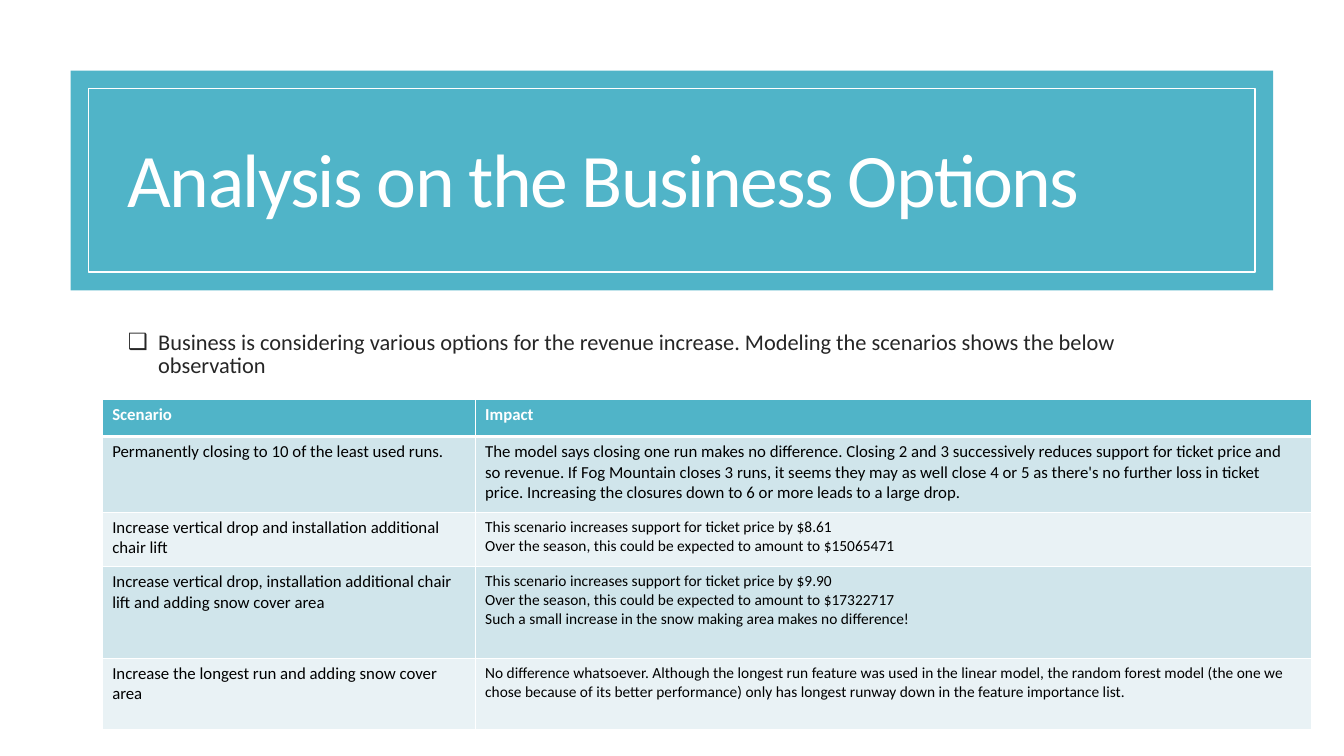
from lxml import etree
from pptx import Presentation
from pptx.dml.color import RGBColor
from pptx.enum.shapes import MSO_SHAPE
from pptx.enum.text import MSO_ANCHOR, MSO_AUTO_SIZE
from pptx.oxml import parse_xml
from pptx.oxml.ns import nsdecls, qn
from pptx.util import Pt

TEAL = RGBColor(0x50, 0xB4, 0xC8)
BAND_DARK = RGBColor(0xD0, 0xE5, 0xEB)
BAND_LIGHT = RGBColor(0xE9, 0xF2, 0xF5)
WHITE = RGBColor(0xFF, 0xFF, 0xFF)
BLACK = RGBColor(0x00, 0x00, 0x00)
CHARCOAL = RGBColor(0x26, 0x26, 0x26)

COLUMN_WIDTHS = [266.4, 597.6]
ROW_HEIGHTS = [26.7, 54, 38.9, 65.5, 51.1]
# Each row: scenario, impact paragraphs, impact text size
ROWS = [
    ("Scenario", ["Impact"], 12),
    ("Permanently closing to 10 of the least used runs.",
     ["The model says closing one run makes no difference. Closing 2 and 3 successively "
      "reduces support for ticket price and so revenue. If Fog Mountain closes 3 runs, it "
      "seems they may as well close 4 or 5 as there's no further loss in ticket price. "
      "Increasing the closures down to 6 or more leads to a large drop."], 12),
    ("Increase vertical drop and installation additional chair lift",
     ["This scenario increases support for ticket price by $8.61",
      "Over the season, this could be expected to amount to $15065471"], 11),
    ("Increase vertical drop, installation additional chair lift and adding snow cover area",
     ["This scenario increases support for ticket price by $9.90",
      "Over the season, this could be expected to amount to $17322717",
      "Such a small increase in the snow making area makes no difference!"], 11),
    ("Increase the longest run and adding snow cover area",
     ["No difference whatsoever. Although the longest run feature was used in the linear "
      "model, the random forest model (the one we chose because of its better performance) "
      "only has longest runway down in the feature importance list."], 11),
]


class SlideBuilder:
    """Holds the style and the current slide."""

    font_name = "Calibri"

    def __init__(self, slide):
        """Keep the slide that receives the elements."""
        self.slide = slide

    def style(self, font, size, color, bold=False):
        """Apply the slide's typeface with a size, colour and weight."""
        font.name, font.size, font.bold = self.font_name, Pt(size), bold
        font.color.rgb = color

    def rectangle(self, left, top, width, height, fill=None, line=None):
        """Add a rectangle with an optional fill and outline."""
        box = self.slide.shapes.add_shape(
            MSO_SHAPE.RECTANGLE, Pt(left), Pt(top), Pt(width), Pt(height))
        box.shadow.inherit = False
        if fill is None:
            box.fill.background()
        else:
            box.fill.solid()
            box.fill.fore_color.rgb = fill
        if line is None:
            box.line.fill.background()
        else:
            box.line.color.rgb = line
            box.line.width = Pt(1)

    def placeholder(self, index, text, box, size, color, anchor):
        """Place and format a template placeholder, and return its paragraph."""
        holder = self.slide.placeholders[index]
        holder.left, holder.top, holder.width, holder.height = map(Pt, box)
        self.slide.shapes._spTree.append(holder._element)
        frame = holder.text_frame
        frame.text = text
        frame.word_wrap = True
        frame.auto_size = MSO_AUTO_SIZE.NONE
        frame.vertical_anchor = anchor
        paragraph = frame.paragraphs[0]
        paragraph.line_spacing = 0.85
        self.style(paragraph.runs[0].font, size, color)
        return paragraph

    def title(self, text, box):
        """Fill the title with large, tightly spaced white text."""
        paragraph = self.placeholder(0, text, box, 54, WHITE, MSO_ANCHOR.MIDDLE)
        properties = paragraph._p.get_or_add_pPr()
        properties.set("algn", "l")
        paragraph.runs[0].font._element.set("spc", "-120")

    def bullet(self, text, box):
        """Fill the body with one item marked by a hollow square."""
        paragraph = self.placeholder(1, text, box, 16, CHARCOAL, MSO_ANCHOR.TOP)
        paragraph.space_before = Pt(13)
        properties = paragraph._p.get_or_add_pPr()
        properties.set("marL", str(Pt(21.6)))
        properties.set("indent", str(-Pt(21.6)))
        etree.SubElement(properties, qn("a:buChar")).set("char", "\u2751")

    def cell(self, cell, paragraphs, size, color, fill, bold, top, bottom):
        """Write one table cell with its fill and white borders."""
        cell.text = "\n".join(paragraphs)
        for paragraph in cell.text_frame.paragraphs:
            self.style(paragraph.runs[0].font, size, color, bold)
        properties = cell._tc.get_or_add_tcPr()
        for side, width in (("L", 1), ("R", 1), ("T", top), ("B", bottom)):
            properties.append(parse_xml(
                f'<a:ln{side} {nsdecls("a")} w="{Pt(width)}"><a:solidFill>'
                f'<a:srgbClr val="{WHITE}"/></a:solidFill></a:ln{side}>'))
        cell.fill.solid()
        cell.fill.fore_color.rgb = fill

    def table(self, left, top, rows, widths, heights):
        """Add a table with a teal header and alternating bands."""
        table = self.slide.shapes.add_table(
            len(rows), len(widths), Pt(left), Pt(top),
            Pt(sum(widths)), Pt(sum(heights))).table
        for column, width in zip(table.columns, widths):
            column.width = Pt(width)
        for number, (scenario, impact, impact_size) in enumerate(rows):
            table.rows[number].height = Pt(heights[number])
            header = number == 0
            fill = TEAL if header else (BAND_LIGHT, BAND_DARK)[number % 2]
            color = WHITE if header else BLACK
            top_line, bottom_line = (3 if number == 1 else 1), (3 if header else 1)
            for column, (content, size) in enumerate(
                    [([scenario], 12), (impact, impact_size)]):
                self.cell(table.cell(number, column), content, size, color,
                          fill, header, top_line, bottom_line)


def main():
    """Build the business options slide."""
    deck = Presentation()
    deck.slide_width, deck.slide_height = Pt(960), Pt(540)
    builder = SlideBuilder(deck.slides.add_slide(deck.slide_layouts[1]))
    builder.rectangle(50.4, 50.4, 859, 157, fill=TEAL)
    builder.rectangle(63.4, 63.4, 833, 131, line=WHITE)
    builder.title("Analysis on the Business Options", (84.2, 83.5, 790.6, 96.5))
    builder.bullet("Business is considering various options for the revenue increase. "
                   "Modeling the scenarios shows the below observation",
                   (84.2, 234, 790.6, 270))
    builder.table(73, 285.2, ROWS, COLUMN_WIDTHS, ROW_HEIGHTS)
    deck.save("out.pptx")


main()
